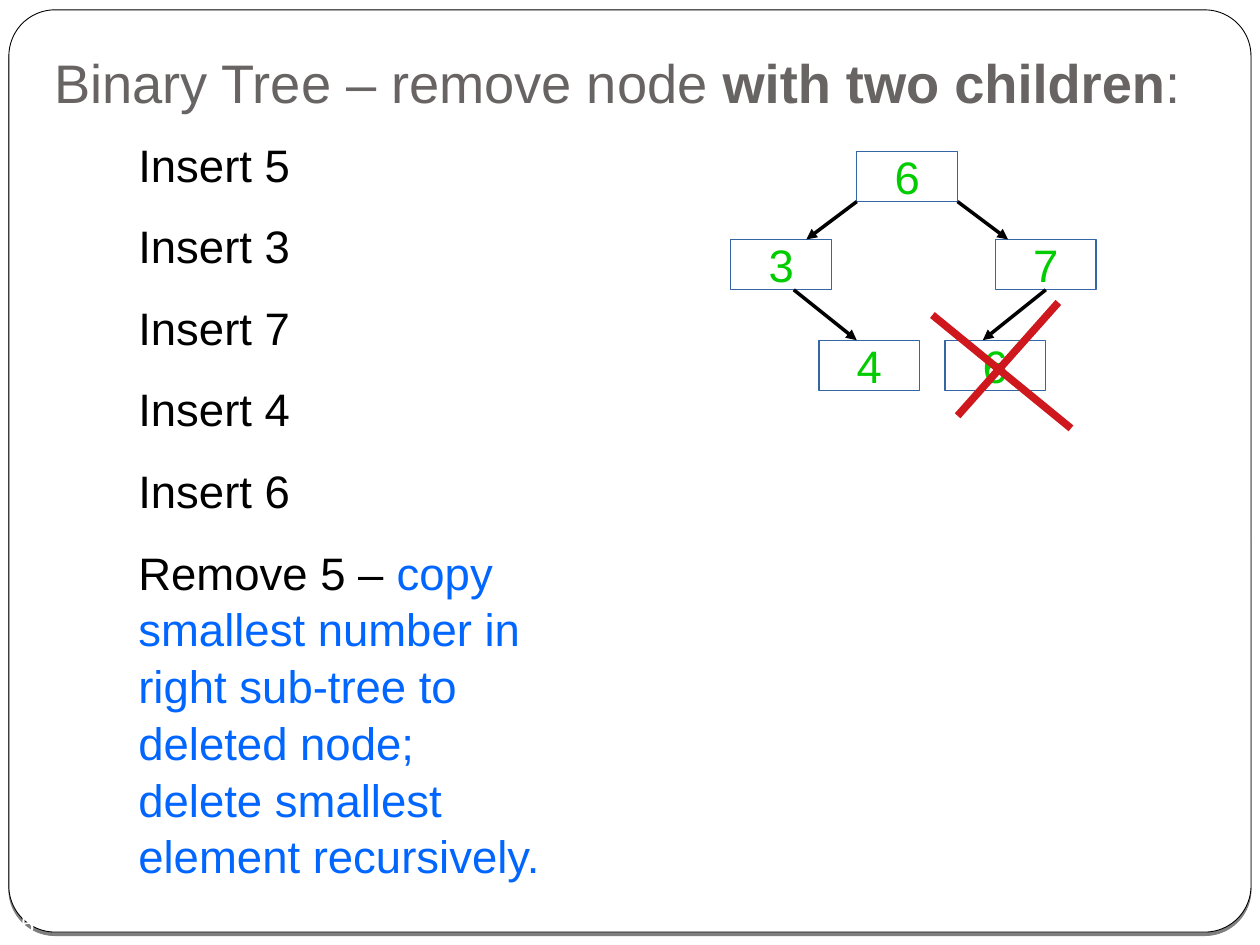
from lxml import etree
from pptx import Presentation
from pptx.dml.color import RGBColor
from pptx.enum.shapes import MSO_CONNECTOR, MSO_SHAPE
from pptx.enum.text import MSO_ANCHOR, PP_ALIGN
from pptx.oxml import parse_xml
from pptx.oxml.ns import nsdecls, qn
from pptx.util import Cm, Pt

RECT, ROUND = MSO_SHAPE.RECTANGLE, MSO_SHAPE.ROUNDED_RECTANGLE
LINE = MSO_CONNECTOR.STRAIGHT
TOP, MID, BASE = MSO_ANCHOR.TOP, MSO_ANCHOR.MIDDLE, MSO_ANCHOR.BOTTOM
LEFT, CENTER = PP_ALIGN.LEFT, PP_ALIGN.CENTER

BLACK = RGBColor(0x00, 0x00, 0x00)
WHITE = RGBColor(0xFF, 0xFF, 0xFF)
GRAY = RGBColor(0x69, 0x64, 0x64)
BLUE = RGBColor(0x00, 0x66, 0xFF)
GREEN = RGBColor(0x00, 0xCC, 0x00)
EDGE = RGBColor(0x34, 0x65, 0xA4)
RED = RGBColor(0xCE, 0x18, 0x1E)

FONT = "Arial"
TITLE = [
    ("Binary Tree – remove node ", GRAY, False),
    ("with two children", GRAY, True),
    (":", GRAY, False),
]
STEPS = [[(f"Insert {n}", BLACK, False)] for n in (5, 3, 7, 4, 6)]
STEPS.append([
    ("Remove 5 – ", BLACK, False),
    ("copy smallest number in right sub-tree to deleted node; "
     "delete smallest element recursively.", BLUE, False),
])
PAGE = [("15", WHITE, False)]

UNIT = 0.254
NODE = (8, 4)
NODES = {
    "root": ("6", 68, 12),
    "left": ("3", 58, 19),
    "right": ("7", 79, 19),
    "leaf": ("4", 65, 27),
    "gone": ("6", 75, 27),
}
ARROWS = [
    (68, 16, 64, 19, None),
    (76, 16, 80, 19, None),
    (63, 23, 68, 27, None),
    (83, 23, 78, 27, "right"),
]
CROSS = [(74, 25, 85, 34), (84, 24, 76, 33)]


def grid(*nums):
    return [Cm(n * UNIT) for n in nums]


def write(par, runs, size):
    for text, color, bold in runs:
        run = par.add_run()
        run.text = text
        font = run.font
        font.name, font.size, font.bold = FONT, Pt(size), bold
        font.color.rgb = color


def frame(shape, anchor, pads, wrap=True):
    tf = shape.text_frame
    tf.word_wrap = wrap
    tf.vertical_anchor = anchor
    tf.margin_left, tf.margin_top, tf.margin_right, tf.margin_bottom = map(Cm, pads)
    return tf


def label(box, rows, size, anchor, pads, align=LEFT, lead=1, gap=0, inset=0):
    tf = frame(slide.shapes.add_textbox(*map(Cm, box)), anchor, pads)
    for i, runs in enumerate(rows):
        par = tf.add_paragraph() if i else tf.paragraphs[0]
        par.alignment, par.line_spacing = align, lead
        par.space_before = Pt(gap if i else 0)
        if inset:
            par._p.get_or_add_pPr().set("marL", str(Cm(inset)))
        write(par, runs, size)


def block(kind, box, fill, edge, width):
    shape = slide.shapes.add_shape(kind, *box)
    shape.shadow.inherit = False
    if fill is None:
        shape.fill.background()
    else:
        shape.fill.solid()
        shape.fill.fore_color.rgb = fill
    shape.line.color.rgb = edge
    shape.line.width = Pt(width)
    return shape


def stroke(ends, color, width, arrow=False):
    line = slide.shapes.add_connector(LINE, *grid(*ends))
    line.line.color.rgb = color
    line.line.width = Pt(width)
    if arrow:
        etree.SubElement(line.line._get_or_add_ln(), qn("a:tailEnd"), type="triangle")
    etree.SubElement(line._element.spPr, qn("a:effectLst"))
    return line


prs = Presentation()
prs.slide_width, prs.slide_height = Cm(25.4), Cm(19.05)
slide = prs.slides.add_slide(prs.slide_layouts[6])
back = slide.background.fill
back.solid()
back.fore_color.rgb = WHITE

card = block(ROUND, map(Cm, (0.18, 0.2, 25.04, 18.59)), WHITE, BLACK, 0.5)
card.adjustments[0] = 0.05
props = card._element.spPr
props.remove(props.find(qn("a:effectLst")))
props.append(parse_xml(
    f'<a:effectLst {nsdecls("a")}><a:outerShdw blurRad="0" dist="{Pt(2)}" dir="5400000">'
    '<a:srgbClr val="000000"><a:alpha val="50000"/></a:srgbClr>'
    '</a:outerShdw></a:effectLst>'))

pads = (0.25, 0.13, 0.25, 0.13)
label((0.84, 0.76, 23.7, 1.78), [TITLE], 31, BASE, (0.25, 0.13, 0.25, 0.25), lead=0.8)
label((0, 18.21, 0.84, 0.84), [PAGE], 14, MID, (0, 0, 0, 0), CENTER)
label((1.35, 2.58, 9.83, 15.87), STEPS, 26, TOP, pads, lead=1.04, gap=14.2, inset=1.19)

boxes = {}
for name, (text, x, y) in NODES.items():
    node = block(RECT, grid(x, y, *NODE), None, EDGE, 0)
    par = frame(node, MID, pads, False).paragraphs[0]
    par.alignment = CENTER
    write(par, [(text, GREEN, False)], 26)
    boxes[name] = node

for *ends, start in ARROWS:
    line = stroke(ends, BLACK, 0, True)
    if start:
        line.begin_connect(boxes[start], 2)

for ends in CROSS:
    stroke(ends, RED, 4.31)

prs.save("out.pptx")
